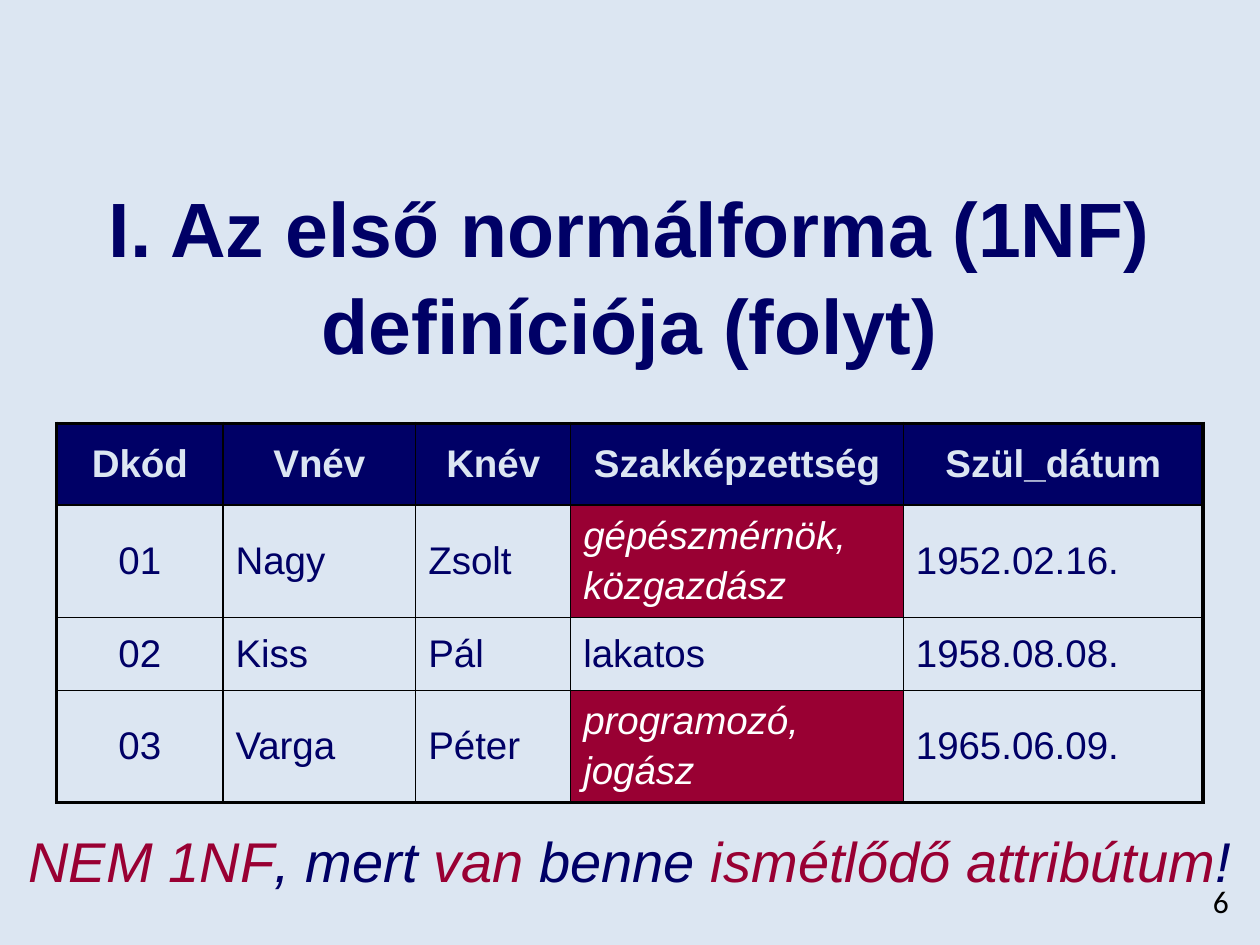
from lxml import etree
from pptx import Presentation
from pptx.dml.color import RGBColor
from pptx.enum.text import MSO_ANCHOR, PP_ALIGN
from pptx.oxml.ns import qn
from pptx.util import Inches, Pt

MIDDLE, TOP = MSO_ANCHOR.MIDDLE, MSO_ANCHOR.TOP
LEFT, CENTER, RIGHT = PP_ALIGN.LEFT, PP_ALIGN.CENTER, PP_ALIGN.RIGHT

PALE = RGBColor(0xDC, 0xE6, 0xF2)
NAVY = RGBColor(0x00, 0x00, 0x66)
CRIMSON = RGBColor(0x99, 0x00, 0x33)
WHITE = RGBColor(0xFF, 0xFF, 0xFF)
BLACK = RGBColor(0x00, 0x00, 0x00)

TITLE = "I. Az első normálforma (1NF) definíciója (folyt)"
PAGE_NUMBER = "6"
VERDICT = [
    ("NEM 1NF", CRIMSON), (", mert ", NAVY), ("van", CRIMSON),
    (" benne ", NAVY), ("ismétlődő attribútum", CRIMSON), ("!", NAVY),
]
# A cell with several values lists them, one paragraph each.
ROWS = [
    ["Dkód", "Vnév", "Knév", "Szakképzettség", "Szül_dátum"],
    ["01", "Nagy", "Zsolt", ["gépészmérnök,", "közgazdász"], "1952.02.16."],
    ["02", "Kiss", "Pál", "lakatos", "1958.08.08."],
    ["03", "Varga", "Péter", ["programozó,", "jogász"], "1965.06.09."],
]
COLUMN_WIDTHS = [1.32, 1.53, 1.23, 2.64, 2.38]
ROW_HEIGHTS = [0.65, 0.85, 0.58, 0.85]
THIN, THICK = 1, 2.25


def add_span(para, text, size, color, font="Arial", bold=False, italic=False):
    span = para.add_run()
    span.text = text
    span.font.name = font
    span.font.size = Pt(size)
    span.font.color.rgb = color
    span.font.bold = bold
    span.font.italic = italic


def add_box(page, left, top, width, height, align, anchor=TOP):
    """Add a wrapping text box and return its first paragraph."""
    box = page.shapes.add_textbox(*map(Inches, (left, top, width, height)))
    box.text_frame.word_wrap = True
    box.text_frame.vertical_anchor = anchor
    para = box.text_frame.paragraphs[0]
    para.alignment = align
    return para


def set_borders(cell, widths):
    """Draw black cell borders; widths are points for left, right, top, bottom."""
    properties = cell._tc.get_or_add_tcPr()
    for position, (side, width) in enumerate(zip("LRTB", widths)):
        line = etree.Element(qn(f"a:ln{side}"), w=str(int(Pt(width))))
        fill = etree.SubElement(line, qn("a:solidFill"))
        etree.SubElement(fill, qn("a:srgbClr"), val=str(BLACK))
        properties.insert(position, line)


def fill_cell(cell, content, row, column):
    header, multiple = row == 0, isinstance(content, list)
    if header or multiple:
        cell.fill.solid()
        cell.fill.fore_color.rgb = NAVY if header else CRIMSON
    else:
        cell.fill.background()
    color = PALE if header else WHITE if multiple else NAVY
    cell.vertical_anchor = MIDDLE
    for index, text in enumerate(content if multiple else [content]):
        frame = cell.text_frame
        para = frame.add_paragraph() if index else frame.paragraphs[0]
        para.alignment = CENTER if header or column == 0 else LEFT
        para.space_before = Pt(4)
        add_span(para, text, 22, color, bold=header, italic=multiple)
    outer = (column == 0, column == len(COLUMN_WIDTHS) - 1,
             row == 0, row == len(ROWS) - 1)
    set_borders(cell, [THICK if edge else THIN for edge in outer])


def add_people_table(page):
    frame = page.shapes.add_table(
        len(ROWS), len(COLUMN_WIDTHS), Inches(0.45), Inches(3.36),
        Inches(sum(COLUMN_WIDTHS)), Inches(sum(ROW_HEIGHTS)))
    table = frame.table
    table.horz_banding = False
    for column, width in zip(table.columns, COLUMN_WIDTHS):
        column.width = Inches(width)
    for row, height in zip(table.rows, ROW_HEIGHTS):
        row.height = Inches(height)
    for row, contents in enumerate(ROWS):
        for column, content in enumerate(contents):
            fill_cell(table.cell(row, column), content, row, column)


def main():
    deck = Presentation()
    deck.slide_width, deck.slide_height = Inches(10), Inches(7.5)
    page = deck.slides.add_slide(deck.slide_layouts[6])
    page.background.fill.solid()
    page.background.fill.fore_color.rgb = PALE

    title = add_box(page, 0, 1.36, 10, 1.61, CENTER, MIDDLE)
    title.line_spacing = 1.05
    add_span(title, TITLE, 44, NAVY, bold=True)

    number = add_box(page, 7.17, 6.95, 2.68, 0.4, RIGHT)
    add_span(number, PAGE_NUMBER, 18, BLACK, font="Calibri")

    add_people_table(page)

    verdict = add_box(page, 0, 6.51, 10, 0.99, CENTER)
    verdict.space_before = Pt(18)
    for text, color in VERDICT:
        add_span(verdict, text, 32, color, italic=True)

    deck.save("out.pptx")


if __name__ == "__main__":
    main()
